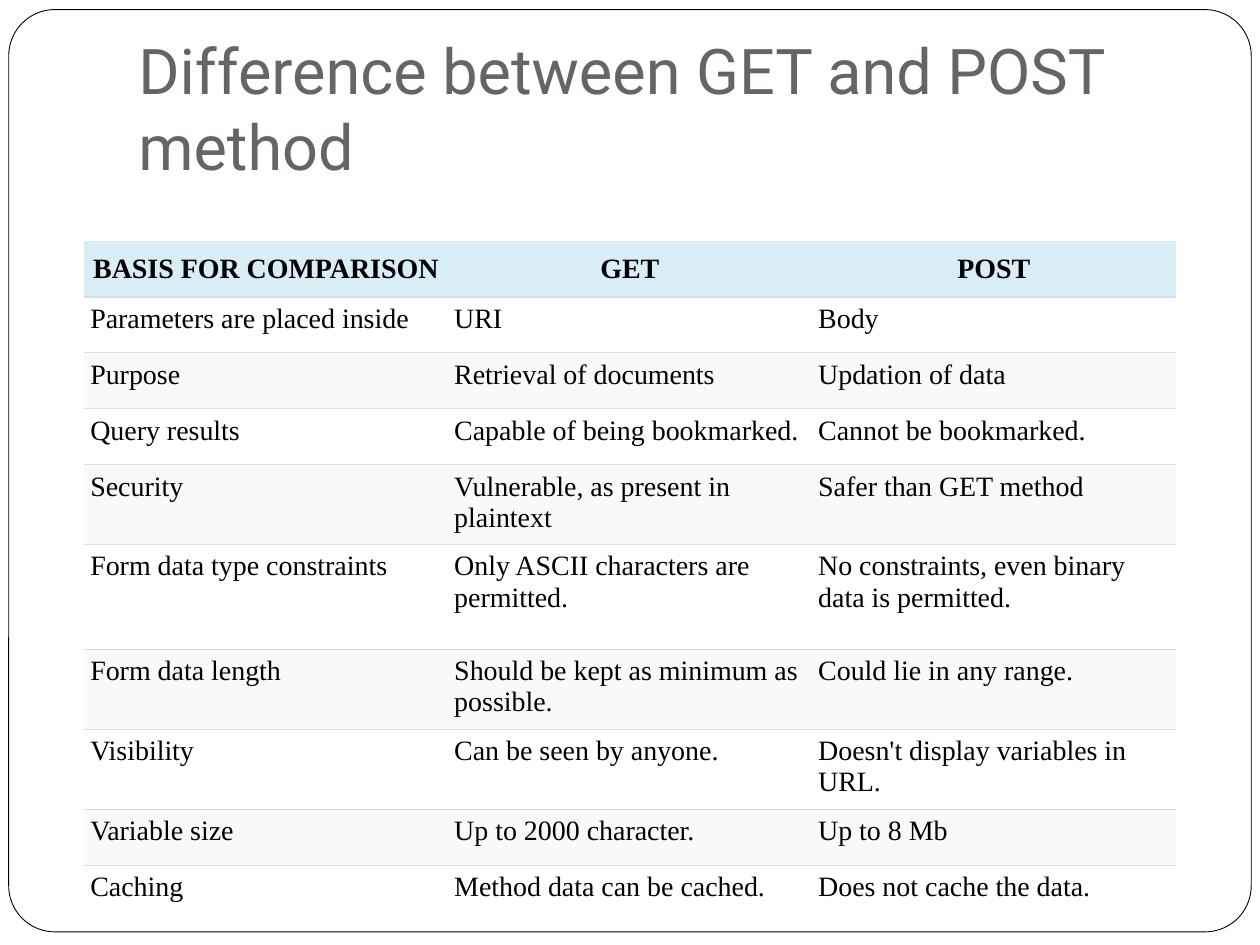
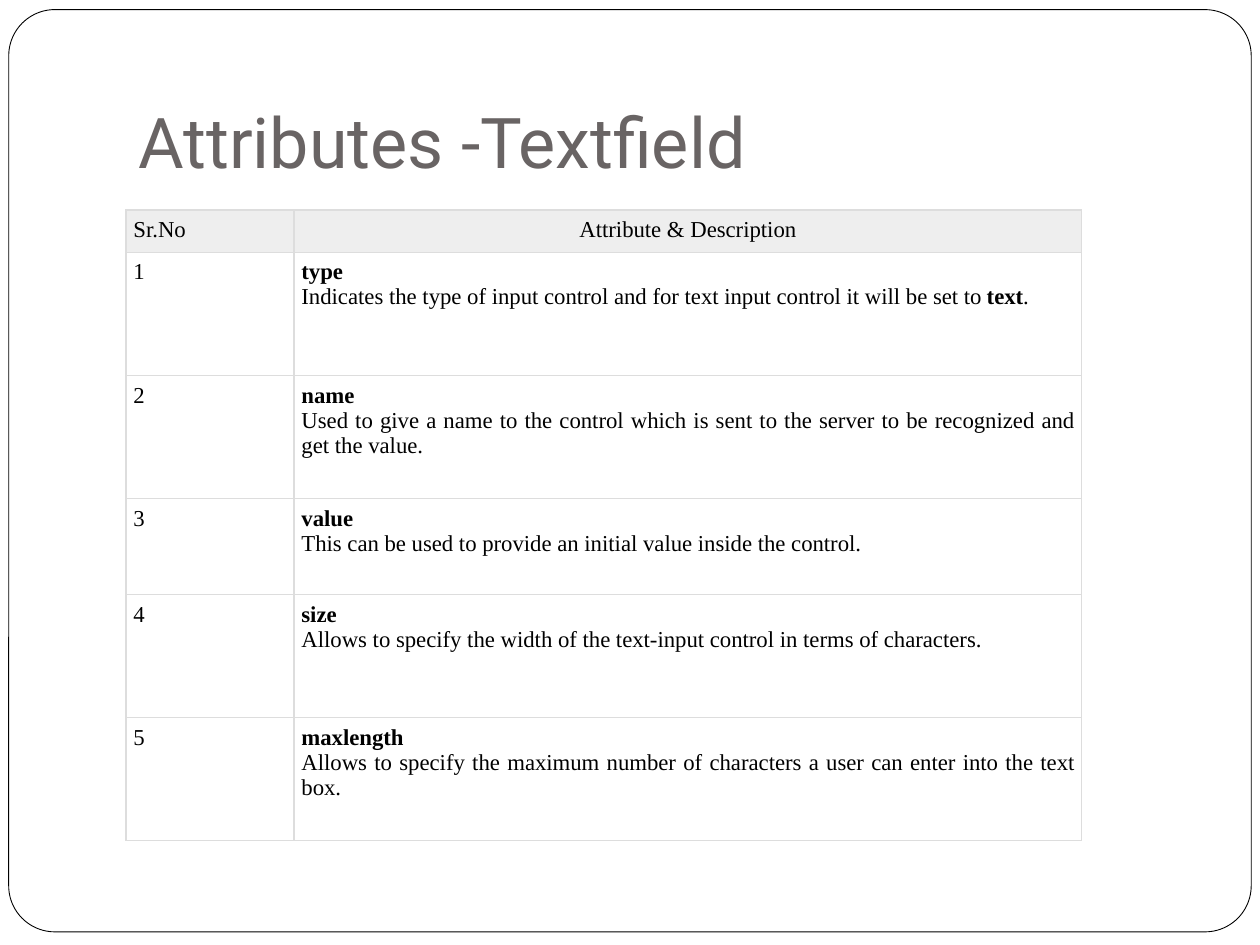
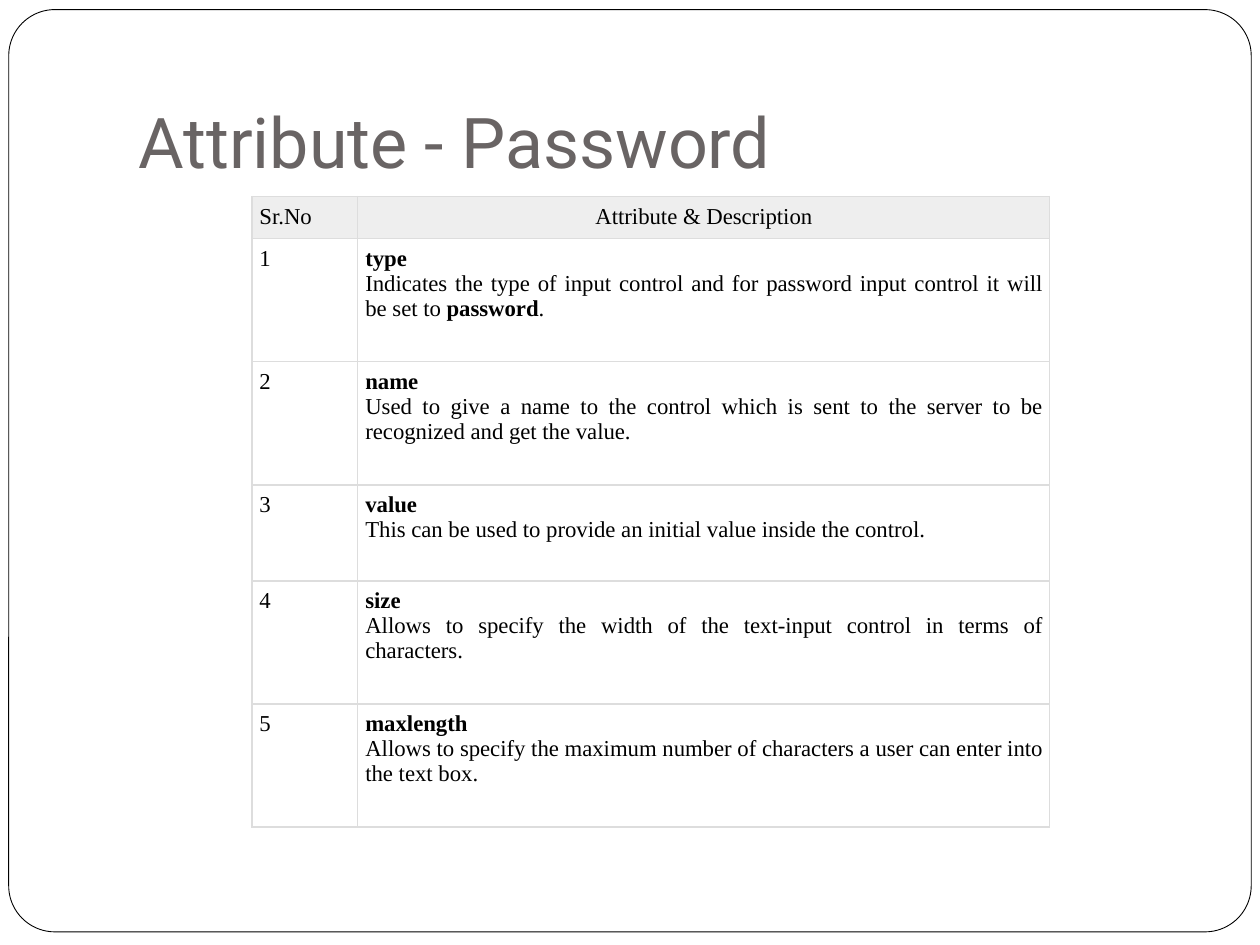
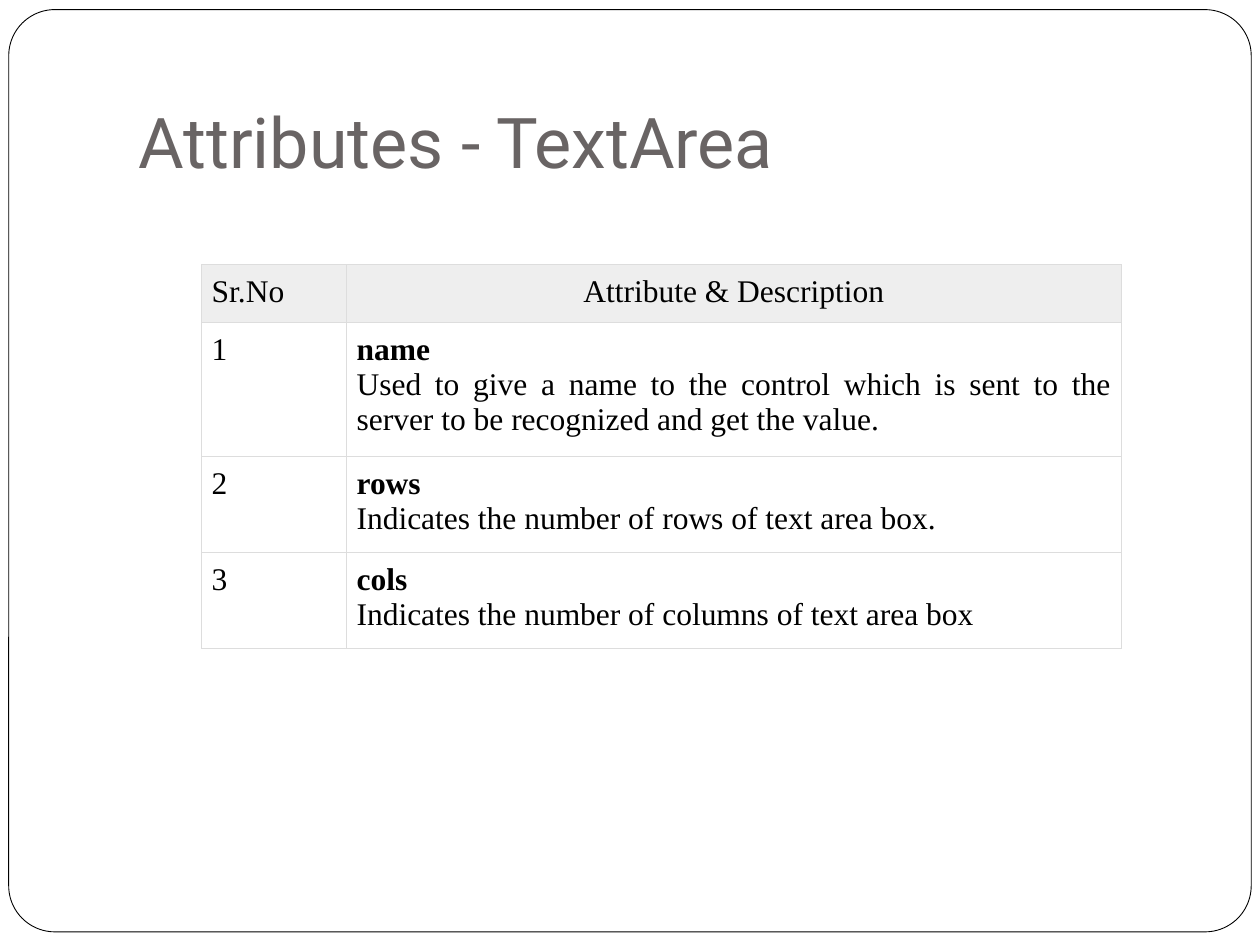
"""Build four slides on HTTP methods and form control attributes."""
import pptx
import pptx.dml.color
import pptx.enum.shapes
import pptx.enum.text
import pptx.oxml.ns
import pptx.util
from lxml import etree

Pt = pptx.util.Pt
qn = pptx.oxml.ns.qn
ALIGN = pptx.enum.text.PP_ALIGN
ANCHOR = pptx.enum.text.MSO_ANCHOR

COLORS = {
    "paper": "FFFFFF", "ink": "000000", "title": "696464", "rule": "DDDDDD",
    "method_header": "D9EDF7", "stripe": "F9F9F9", "attribute_header": "EEEEEE",
}
TITLE_FONT, BODY_FONT = "Roboto", "Times New Roman"

METHODS = {
    "title": "Difference between GET and POST method", "title_size": 36,
    "left": 48, "top": 137.7, "columns": [208, 208, 208],
    "heights": [32, 32, 32, 32, 43, 60, 44.5, 42.5, 32, 32],
    "size": 16, "inset": 3.6,
    "header": ["BASIS FOR COMPARISON", "GET", "POST"],
    "rows": [
        ("Parameters are placed inside", "URI", "Body"),
        ("Purpose", "Retrieval of documents", "Updation of data"),
        ("Query results", "Capable of being bookmarked.", "Cannot be bookmarked."),
        ("Security", "Vulnerable, as present in plaintext", "Safer than GET method"),
        ("Form data type constraints", "Only ASCII characters are permitted.",
         "No constraints, even binary data is permitted."),
        ("Form data length", "Should be kept as minimum as possible.",
         "Could lie in any range."),
        ("Visibility", "Can be seen by anyone.", "Doesn't display variables in URL."),
        ("Variable size", "Up to 2000 character.", "Up to 8 Mb"),
        ("Caching", "Method data can be cached.", "Does not cache the data."),
    ],
}

ATTRIBUTE_HEADER = ["Sr.No", "Attribute & Description"]
NAME = ("name", ["Used to give a name to the control which is sent to the server "
                 "to be recognized and get the value."])
INPUT_ATTRIBUTES = [
    NAME,
    ("value", ["This can be used to provide an initial value inside the control."]),
    ("size", ["Allows to specify the width of the text-input control in terms of characters."]),
    ("maxlength", ["Allows to specify the maximum number of characters a user can "
                   "enter into the text box."]),
]
INPUT_HEIGHTS = [24, 70.3, 70.3, 54.9, 70.3, 70.3]


def type_attribute(control):
    return ("type", [f"Indicates the type of input control and for {control} input "
                     "control it will be set to ", control, "."])


ATTRIBUTE_SLIDES = [
    {"title": "Attributes -Textfield", "left": 72, "top": 120, "columns": [96, 450],
     "heights": INPUT_HEIGHTS, "size": 13, "inset": 4.3,
     "attributes": [type_attribute("text")] + INPUT_ATTRIBUTES},
    {"title": "Attribute - Password", "left": 144, "top": 112.3, "columns": [60.5, 395.3],
     "heights": INPUT_HEIGHTS, "size": 13, "inset": 4.3,
     "attributes": [type_attribute("password")] + INPUT_ATTRIBUTES},
    {"title": "Attributes - TextArea", "left": 115.2, "top": 151.2, "columns": [82.8, 442.8],
     "heights": [32, 71.5, 52, 52], "size": 18, "inset": 5.8,
     "attributes": [
         NAME,
         ("rows", ["Indicates the number of rows of text area box."]),
         ("cols", ["Indicates the number of columns of text area box"])]},
]


def rgb(color):
    return pptx.dml.color.RGBColor.from_string(COLORS[color])


def set_insets(holder, left, top, right, bottom):
    holder.margin_left, holder.margin_top = Pt(left), Pt(top)
    holder.margin_right, holder.margin_bottom = Pt(right), Pt(bottom)


def add_run(paragraph, text, size, font, color, bold=False):
    run = paragraph.add_run()
    run.text = text
    run.font.size, run.font.name, run.font.bold = Pt(size), font, bold
    run.font.color.rgb = rgb(color)


def add_titled_slide(deck, title, size):
    slide = deck.slides.add_slide(deck.slide_layouts[6])
    frame = slide.shapes.add_shape(
        pptx.enum.shapes.MSO_SHAPE.ROUNDED_RECTANGLE, Pt(5), Pt(5.5), Pt(710), Pt(527))
    frame.adjustments[0] = 0.05
    frame.shadow.inherit = False
    frame.fill.solid()
    frame.fill.fore_color.rgb = rgb("paper")
    frame.line.color.rgb = rgb("ink")
    frame.line.width = Pt(0.5)
    heading = slide.shapes.add_textbox(Pt(72), Pt(21.6), Pt(612), Pt(90)).text_frame
    heading.word_wrap = True
    heading.vertical_anchor = ANCHOR.BOTTOM
    set_insets(heading, 7.2, 3.6, 7.2, 7.2)
    add_run(heading.paragraphs[0], title, size, TITLE_FONT, "title")
    return slide


def add_grid(slide, content):
    columns, heights = content["columns"], content["heights"]
    grid = slide.shapes.add_table(
        len(heights), len(columns), Pt(content["left"]), Pt(content["top"]),
        Pt(sum(columns)), Pt(sum(heights))).table
    grid.first_row = grid.horz_banding = False
    for column, width in zip(grid.columns, columns):
        column.width = Pt(width)
    for row, height in zip(grid.rows, heights):
        row.height = Pt(height)
    return grid


def set_borders(cell, ruled):
    properties = cell._tc.get_or_add_tcPr()
    for side in "LRTB":
        border = etree.SubElement(properties, qn(f"a:ln{side}"), w=str(Pt(0.75)))
        if side in ruled:
            fill = etree.SubElement(border, qn("a:solidFill"))
            etree.SubElement(fill, qn("a:srgbClr"), val=COLORS["rule"])
        else:
            etree.SubElement(border, qn("a:noFill"))


def fill_cell(cell, content, paragraphs, align, ruled, fill=None, anchor=ANCHOR.TOP):
    set_borders(cell, ruled)
    if fill:
        cell.fill.solid()
        cell.fill.fore_color.rgb = rgb(fill)
    else:
        cell.fill.background()
    set_insets(cell, *[content["inset"]] * 4)
    cell.vertical_anchor = anchor
    for index, runs in enumerate(paragraphs):
        text = cell.text_frame
        paragraph = text.add_paragraph() if index else text.paragraphs[0]
        paragraph.alignment = align
        for words, bold in runs:
            add_run(paragraph, words, content["size"], BODY_FONT, "ink", bold)


def add_methods(deck):
    slide = add_titled_slide(deck, METHODS["title"], METHODS["title_size"])
    grid = add_grid(slide, METHODS)
    for c, label in enumerate(METHODS["header"]):
        fill_cell(grid.cell(0, c), METHODS, [[(label, True)]], ALIGN.CENTER,
                  "B", "method_header", ANCHOR.MIDDLE)
    last = len(METHODS["rows"])
    for r, row in enumerate(METHODS["rows"], 1):
        for c, words in enumerate(row):
            fill_cell(grid.cell(r, c), METHODS, [[(words, False)]], ALIGN.LEFT,
                      "T" if r == last else "TB", "paper" if r % 2 else "stripe")


def add_attributes(deck, content):
    grid = add_grid(add_titled_slide(deck, content["title"], 40), content)
    for c, (label, align) in enumerate(zip(ATTRIBUTE_HEADER, (ALIGN.LEFT, ALIGN.CENTER))):
        fill_cell(grid.cell(0, c), content, [[(label, False)]], align,
                  "LRTB", "attribute_header")
    for number, (attribute, description) in enumerate(content["attributes"], 1):
        fill_cell(grid.cell(number, 0), content, [[(str(number), False)]], ALIGN.LEFT, "LRTB")
        sentence = [(words, i % 2 == 1) for i, words in enumerate(description)]
        fill_cell(grid.cell(number, 1), content, [[(attribute, True)], sentence],
                  ALIGN.JUSTIFY, "LRTB")


def main():
    deck = pptx.Presentation()
    deck.slide_width, deck.slide_height = Pt(720), Pt(540)
    add_methods(deck)
    for content in ATTRIBUTE_SLIDES:
        add_attributes(deck, content)
    deck.save("out.pptx")


if __name__ == "__main__":
    main()
